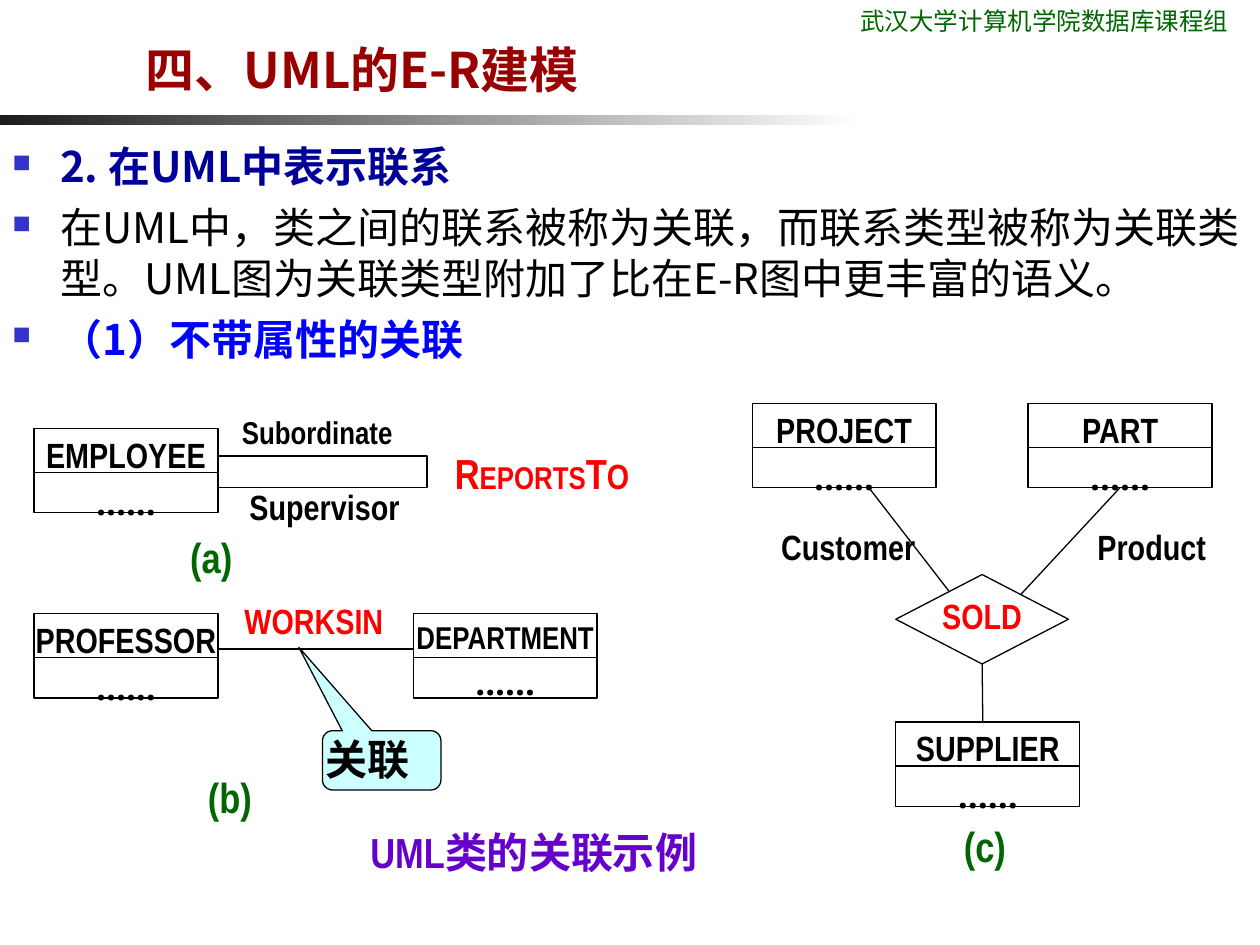
from dataclasses import dataclass

import pptx
import pptx.dml.color
import pptx.enum.shapes
import pptx.enum.text
import pptx.oxml.ns
import pptx.util
from lxml import etree

Inches = pptx.util.Inches
Pt = pptx.util.Pt
Shape = pptx.enum.shapes.MSO_SHAPE
Align = pptx.enum.text.PP_ALIGN
Anchor = pptx.enum.text.MSO_ANCHOR
qn = pptx.oxml.ns.qn


@dataclass(frozen=True)
class Theme:
    cjk: str = "Noto Sans CJK SC"
    narrow: str = "Arial Narrow"
    plain: str = "Lato"
    black: str = "000000"
    white: str = "FFFFFF"
    dark: str = "1C1C1C"
    red: str = "FF0000"
    green: str = "006600"
    maroon: str = "990000"
    navy: str = "000099"
    blue: str = "0000FF"
    purple: str = "6600CC"
    bullet: str = "3333CC"
    cyan: str = "CCFFFF"
    tiny: int = 14
    small: int = 18
    mid: int = 20
    big: int = 24
    title: int = 28
    line: float = 0.75


T = Theme()
PAD = (0.1, 0.05)
FLUSH = (0, 0)


@dataclass(frozen=True)
class Entity:
    name: str
    left: float
    top: float
    size: int = T.mid


@dataclass(frozen=True)
class Label:
    text: str
    left: float
    top: float
    size: int = T.mid
    color: str = T.black
    width: float = 1.29


@dataclass(frozen=True)
class Point:
    text: str
    color: str
    bold: bool


ENTITIES = [
    Entity("EMPLOYEE", 0.27, 3.4),
    Entity("PROFESSOR", 0.27, 4.87),
    Entity("DEPARTMENT", 3.28, 4.87, T.small),
    Entity("PROJECT", 5.97, 3.2),
    Entity("PART", 8.16, 3.2),
    Entity("SUPPLIER", 7.11, 5.73),
]
LABELS = [
    Label("Subordinate", 1.92, 3.28, T.small),
    Label("Supervisor", 1.98, 3.85),
    Label("WORKSIN", 1.94, 4.76, color=T.red),
    Label("Customer", 6.2, 4.17),
    Label("Product", 8.71, 4.17),
    Label("(a)", 1.51, 4.22, T.big, T.green),
    Label("(b)", 1.65, 6.12, T.big, T.green),
    Label("(c)", 7.65, 6.51, T.big, T.green),
    Label("UML类的关联示例", 2.94, 6.56, T.big, T.purple, 2.8),
]
REPORTS = [("R", T.big), ("EPORTS", T.small), ("T", T.big), ("O", T.mid)]
POINTS = [
    Point("2. 在UML中表示联系", T.navy, True),
    Point("在UML中，类之间的联系被称为关联，而联系类型被称为关联类型。"
          "UML图为关联类型附加了比在E-R图中更丰富的语义。", T.black, False),
    Point("（1）不带属性的关联", T.blue, True),
]


def rgb(color: str):
    return pptx.dml.color.RGBColor.from_string(color)


def style(run, size: int, color: str, face: str = T.narrow, bold: bool = True) -> None:
    font = run.font
    font.size, font.bold, font.name = Pt(size), bold, face
    font.color.rgb = rgb(color)
    east = etree.SubElement(run._r.get_or_add_rPr(), qn("a:ea"))
    east.set("typeface", T.cjk)


def setup(shape, pad=FLUSH, anchor=Anchor.TOP):
    """Wrap the text of a shape and set its margins."""
    frame = shape.text_frame
    frame.word_wrap = True
    frame.vertical_anchor = anchor
    frame.margin_left = frame.margin_right = Inches(pad[0])
    frame.margin_top = frame.margin_bottom = Inches(pad[1])
    return frame


def area(slide, left: float, top: float, width: float, height: float, pad=FLUSH, anchor=Anchor.TOP):
    box = slide.shapes.add_textbox(Inches(left), Inches(top), Inches(width), Inches(height))
    return setup(box, pad, anchor)


def block(slide, kind, left: float, top: float, width: float, height: float, fill: str = T.white):
    shape = slide.shapes.add_shape(kind, Inches(left), Inches(top), Inches(width), Inches(height))
    shape.shadow.inherit = False
    shape.fill.solid()
    shape.fill.fore_color.rgb = rgb(fill)
    shape.line.color.rgb = rgb(T.black)
    shape.line.width = Pt(T.line)
    return shape


def link(slide, x1: float, y1: float, x2: float, y2: float):
    line = slide.shapes.add_connector(
        pptx.enum.shapes.MSO_CONNECTOR.STRAIGHT, Inches(x1), Inches(y1), Inches(x2), Inches(y2))
    line.line.color.rgb = rgb(T.black)
    line.line.width = Pt(T.line)
    etree.SubElement(line._element.spPr, qn("a:effectLst"))
    return line


def entity(slide, item: Entity):
    """Draw a class box: name, divider, dots for the attributes."""
    box = block(slide, Shape.RECTANGLE, item.left, item.top, 1.46, 0.67)
    frame = setup(box)
    frame.text = item.name + "\n‥‥‥"
    for para, size in zip(frame.paragraphs, (item.size, T.mid)):
        para.alignment = Align.CENTER
        para.line_spacing = 1.12
        style(para.runs[0], size, T.black)
    link(slide, item.left, item.top + 0.35, item.left + 1.46, item.top + 0.35)
    return box


def label(slide, item: Label) -> None:
    para = area(slide, item.left, item.top, item.width, 0.4).paragraphs[0]
    para.text = item.text
    para.alignment = Align.JUSTIFY
    style(para.runs[0], item.size, item.color)


def bullet(para) -> None:
    props = para._p.get_or_add_pPr()
    props.set("marL", str(Inches(0.38)))
    props.set("indent", str(Inches(-0.38)))
    tint = etree.SubElement(props, qn("a:buClr"))
    etree.SubElement(tint, qn("a:srgbClr")).set("val", T.bullet)
    etree.SubElement(props, qn("a:buSzPct")).set("val", "60000")
    etree.SubElement(props, qn("a:buChar")).set("char", "■")


def header(slide) -> None:
    bar = block(slide, Shape.RECTANGLE, 0, 0.91, 6.83, 0.08)
    bar.line.fill.background()
    bar.fill.gradient()
    bar.fill.gradient_angle = 0
    for stop, color in zip(bar.fill.gradient_stops, (T.dark, T.white)):
        stop.color.rgb = rgb(color)
    group = area(slide, 6.73, 0, 3.27, 0.34, PAD)
    group.text = "武汉大学计算机学院数据库课程组"
    style(group.paragraphs[0].runs[0], T.tiny, T.green, T.plain, False)
    title = area(slide, 1.06, 0, 7.58, 0.83, PAD, Anchor.BOTTOM)
    title.text = "四、UML的E-R建模"
    style(title.paragraphs[0].runs[0], T.title, T.maroon, T.cjk)


def body(slide) -> None:
    frame = area(slide, 0, 1.07, 10, 2.03, PAD)
    frame.text = "\n".join(point.text for point in POINTS)
    for i, (para, point) in enumerate(zip(frame.paragraphs, POINTS)):
        bullet(para)
        para.space_before = Pt(6 if i else 0)
        style(para.runs[0], T.big, point.color, T.cjk, point.bold)


def diagram(slide) -> None:
    link(slide, 1.73, 5.15, 3.4, 5.15)
    boxes = {item.name: entity(slide, item) for item in ENTITIES}
    block(slide, Shape.RECTANGLE, 1.73, 3.62, 1.66, 0.25)
    sold = block(slide, Shape.FLOWCHART_DECISION, 7.11, 4.56, 1.37, 0.71)
    para = setup(sold, (0, 0.05)).paragraphs[0]
    para.text = "SOLD"
    para.alignment = Align.CENTER
    para.line_spacing = 0.8
    style(para.runs[0], T.mid, T.red)
    link(slide, 6.88, 3.85, 7.53, 4.69)
    link(slide, 8.89, 3.87, 8.1, 4.72).begin_connect(boxes["PART"], 2)
    link(slide, 7.8, 5.27, 7.8, 5.73).begin_connect(sold, 2)
    for item in LABELS:
        label(slide, item)
    para = area(slide, 3.61, 3.55, 1.46, 0.4).paragraphs[0]
    para.alignment = Align.JUSTIFY
    for text, size in REPORTS:
        run = para.add_run()
        run.text = text
        style(run, size, T.red)
    note = block(slide, Shape.ROUNDED_RECTANGULAR_CALLOUT, 2.56, 5.8, 0.94, 0.47, T.cyan)
    for i, value in enumerate((-0.7, -1.91, 0.17)):
        note.adjustments[i] = value
    para = setup(note).paragraphs[0]
    para.text = "关联"
    para.alignment = Align.LEFT
    style(para.runs[0], T.big, T.black, T.cjk)


def main() -> None:
    deck = pptx.Presentation()
    deck.slide_width, deck.slide_height = Inches(10), Inches(7.5)
    slide = deck.slides.add_slide(deck.slide_layouts[6])
    header(slide)
    body(slide)
    diagram(slide)
    deck.save("out.pptx")


if __name__ == "__main__":
    main()
